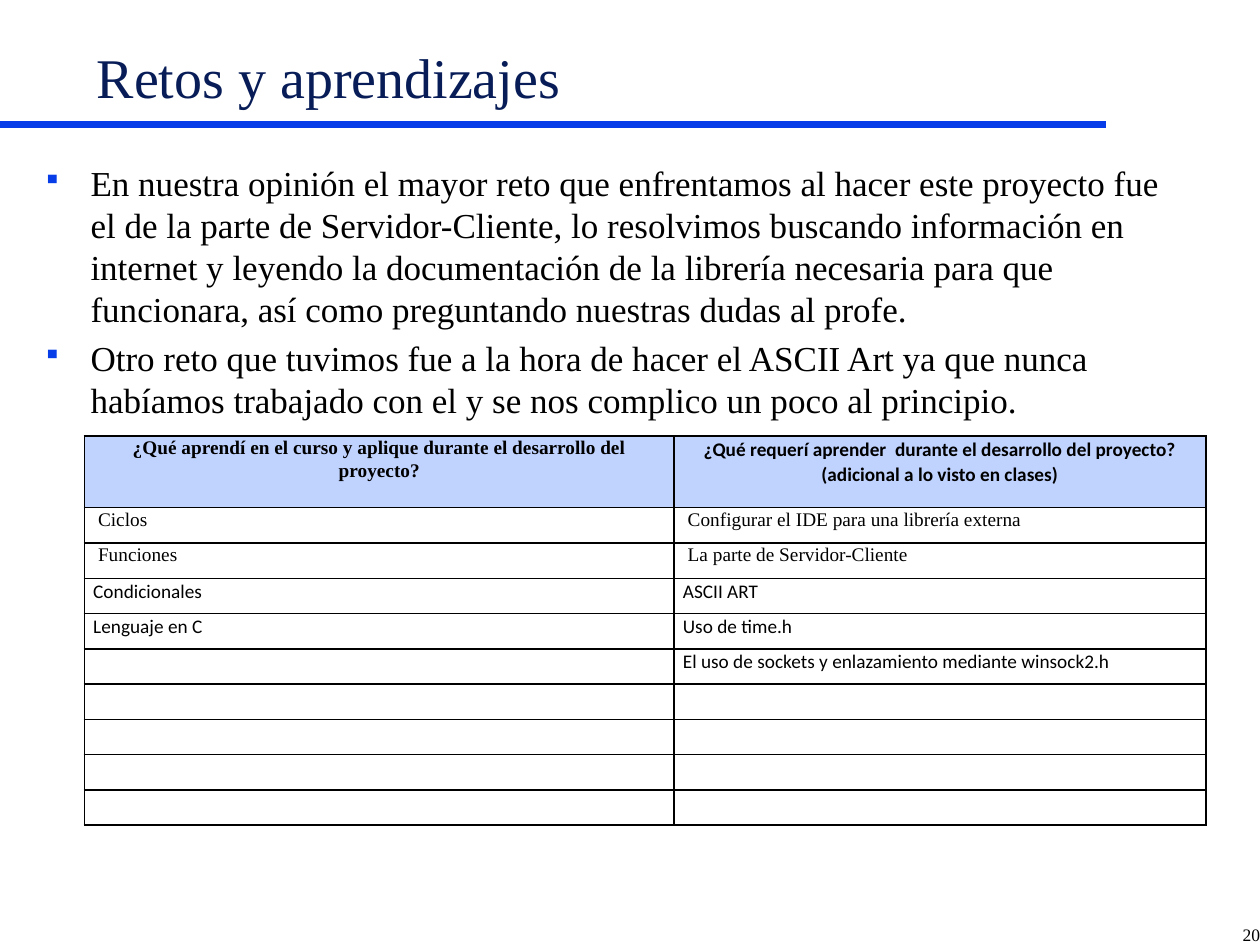
from pptx import Presentation
from pptx.dml.color import RGBColor
from pptx.enum.shapes import MSO_CONNECTOR as CONN
from pptx.enum.text import MSO_ANCHOR as ANCHOR, PP_ALIGN as ALIGN
from pptx.oxml import parse_xml
from pptx.oxml.ns import nsdecls
from pptx.util import Emu, Pt
from lxml.etree import SubElement

PX = 9144  # 100 px to the inch
SERIF, SANS = "Times New Roman", "Calibri"
NS = nsdecls("a")


def px(*values):
    return [Emu(v * PX) for v in values]


def rgb(value):
    return RGBColor.from_string(value)


prs = Presentation()
prs.slide_width, prs.slide_height = px(1000, 750)
s = prs.slides.add_slide(prs.slide_layouts[6])

# Rule under the title
rule = s.shapes.add_connector(CONN.STRAIGHT, *px(0, 99, 878, 99))
rule.line.color.rgb = rgb("063DE8")
rule.line.width = Pt(4)
SubElement(rule._element.spPr, "{http://schemas.openxmlformats.org/drawingml/2006/main}effectLst")

# Title, bullets and page number
BULLETS = [
    "En nuestra opinión el mayor reto que enfrentamos al hacer este proyecto fue el de la parte de "
    "Servidor-Cliente, lo resolvimos buscando información en internet y leyendo la documentación de "
    "la librería necesaria para que funcionara, así como preguntando nuestras dudas al profe.",
    "Otro reto que tuvimos fue a la hora de hacer el ASCII Art ya que nunca habíamos trabajado con "
    "el y se nos complico un poco al principio.",
]
# box, margins, lines, size, colour, alignment, anchor, bulleted
TEXTS = [
    ((67, 21, 890, 71), (10, 5), ["Retos y aprendizajes"], 32, "081D58", ALIGN.LEFT, ANCHOR.BOTTOM, False),
    ((12, 123, 945, 219), (10, 5), BULLETS, 20, "000000", ALIGN.LEFT, ANCHOR.TOP, True),
    ((950, 733, 50, 17), (0, 0), ["20"], 10, "000000", ALIGN.RIGHT, ANCHOR.TOP, False),
]
for box, (mx, my), lines, size, color, align, anchor, bulleted in TEXTS:
    tf = s.shapes.add_textbox(*px(*box)).text_frame
    tf.word_wrap = True
    tf.vertical_anchor = anchor
    tf.margin_left, tf.margin_right, tf.margin_top, tf.margin_bottom = px(mx, mx, my, my)
    for i, line in enumerate(lines):
        p = tf.add_paragraph() if i else tf.paragraphs[0]
        p.alignment = align
        r = p.add_run()
        r.text = line
        r.font.name, r.font.size = SERIF, Pt(size)
        r.font.color.rgb = rgb(color)
        if bulleted:
            p.space_before = Pt(4)
            pPr = p._p.get_or_add_pPr()
            pPr.set("marL", str(50 * PX))
            pPr.set("indent", str(-38 * PX))
            for xml in (f'<a:buClr {NS}><a:srgbClr val="063DE8"/></a:buClr>',
                        f'<a:buSzPct {NS} val="75000"/>',
                        f'<a:buChar {NS} char="▪"/>'):
                pPr.append(parse_xml(xml))

# Table of what was learned: left text, right text, left font, right font
ROWS = [
    ("¿Qué aprendí en el curso y aplique durante el desarrollo del proyecto?",
     "¿Qué requerí aprender  durante el desarrollo del proyecto? (adicional a lo visto en clases)",
     SERIF, SANS),
    (" Ciclos", " Configurar el IDE para una librería externa", SERIF, SERIF),
    (" Funciones", " La parte de Servidor-Cliente", SERIF, SERIF),
    ("Condicionales", "ASCII ART", SANS, SANS),
    ("Lenguaje en C", "Uso de time.h", SANS, SANS),
    ("", "El uso de sockets y enlazamiento mediante winsock2.h", SANS, SANS),
] + [("", "", SANS, SANS)] * 4
table = s.shapes.add_table(len(ROWS), 2, *px(67, 346, 890, 306)).table
for column, width in zip(table.columns, px(468, 422)):
    column.width = width
for i, (left, right, *fonts) in enumerate(ROWS):
    header = i == 0
    table.rows[i].height = px(57 if header else 28)[0]
    for cell, text, font in zip(table.rows[i].cells, (left, right), fonts):
        cell.margin_left, cell.margin_right, cell.margin_top, cell.margin_bottom = px(7, 7, 0, 0)
        p = cell.text_frame.paragraphs[0]
        p.alignment = ALIGN.CENTER if header else ALIGN.LEFT
        p.line_spacing = 1.07
        if text:
            r = p.add_run()
            r.text = text
            r.font.name, r.font.size, r.font.bold = font, Pt(11), header
            r.font.color.rgb = rgb("000000")
        else:
            p._p.append(parse_xml(f'<a:endParaRPr {NS} sz="1100"/>'))
        # Borders come before the fill in the cell properties
        for side in ("lnL", "lnR", "lnT", "lnB"):
            cell._tc.get_or_add_tcPr().append(parse_xml(
                f'<a:{side} {NS} w="12700"><a:solidFill><a:srgbClr val="000000"/></a:solidFill></a:{side}>'))
        if header:
            cell.fill.solid()
            cell.fill.fore_color.rgb = rgb("C0D2FE")
        else:
            cell.fill.background()

prs.save("out.pptx")
